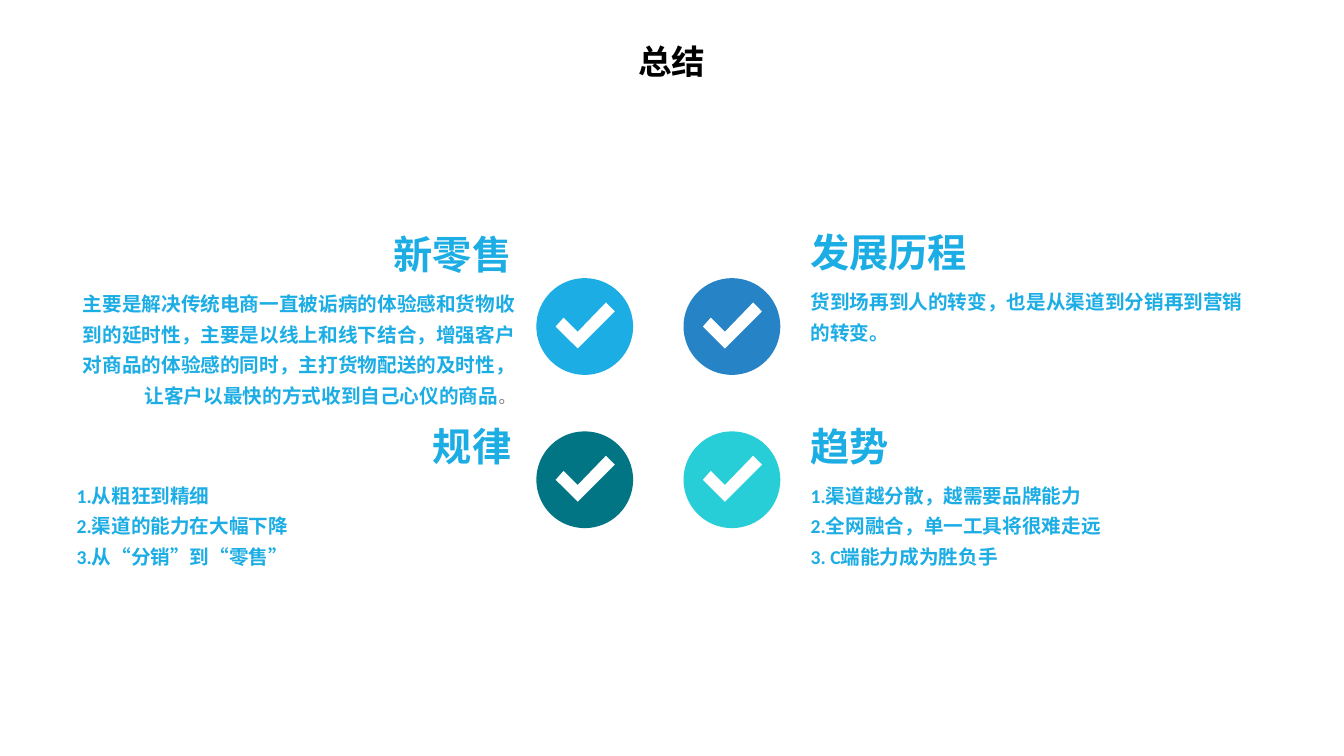
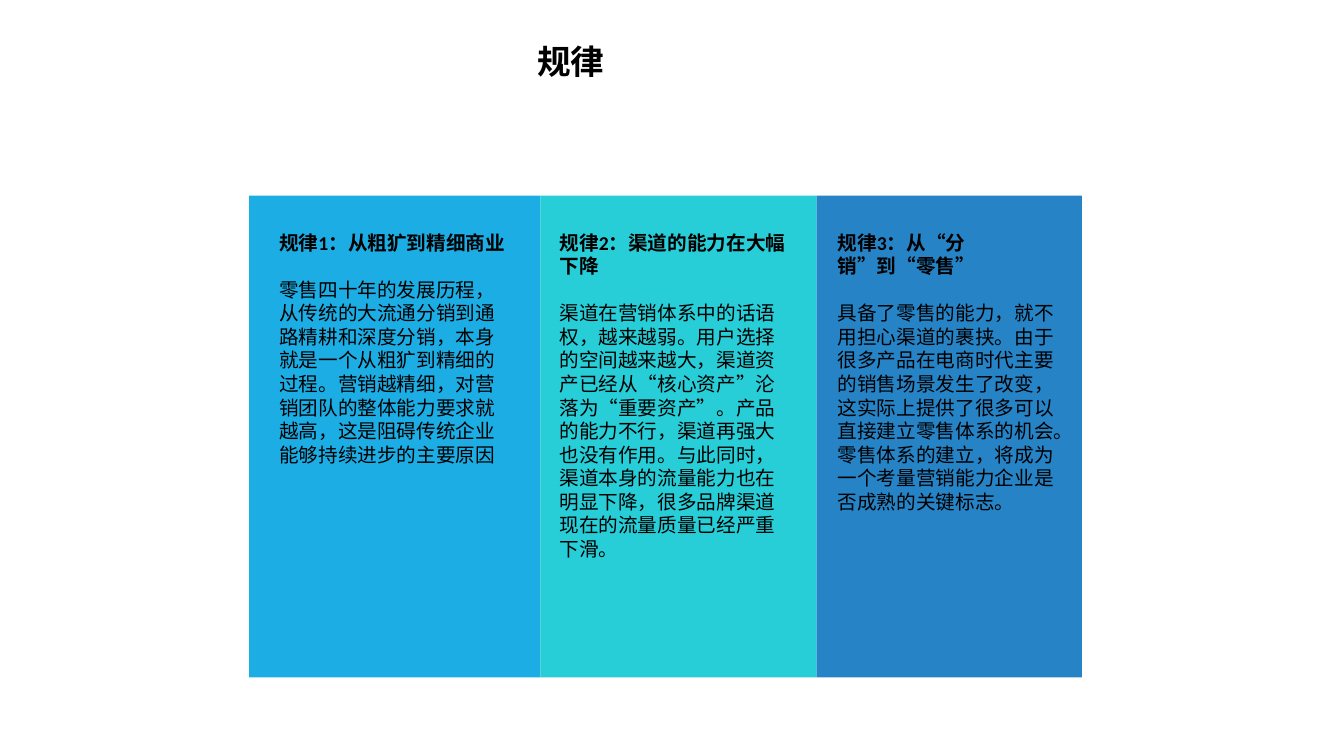
"""Build a two-slide summary of new retail and the rules behind it."""
from dataclasses import dataclass
from math import cos, pi, sin

from lxml import etree
from pptx import Presentation
from pptx.dml.color import RGBColor
from pptx.enum.shapes import MSO_SHAPE
from pptx.enum.text import MSO_ANCHOR, MSO_AUTO_SIZE, PP_ALIGN
from pptx.oxml.ns import qn
from pptx.util import Inches, Pt

LEFT, CENTER, RIGHT = PP_ALIGN.LEFT, PP_ALIGN.CENTER, PP_ALIGN.RIGHT
RECTANGLE = MSO_SHAPE.RECTANGLE
TOP, MIDDLE = MSO_ANCHOR.TOP, MSO_ANCHOR.MIDDLE
NO_AUTOFIT = MSO_AUTO_SIZE.NONE
TWO_CONTENT, TITLE_ONLY = 3, 5


@dataclass(frozen=True)
class Theme:
    """Colours, font and type sizes shared by the slides."""
    font: str = "Calibri"
    sky: str = "1CADE4"
    blue: str = "2683C6"
    aqua: str = "27CED7"
    teal: str = "027584"
    black: str = "000000"
    gray: str = "808080"
    title: float = 24
    heading: float = 28
    body: float = 14
    stop: float = 12
    gap: float = 16.8


THEME = Theme()
TITLE_BOX = (5.23, 0.4, 2.87, 0.46)

SUMMARY_TITLE = "总结"
SUMMARY = [
    {"heading": "新零售", "color": THEME.sky, "top": 2.24, "align": RIGHT, "stop": "。",
     "lines": ["主要是解决传统电商一直被诟病的体验感和货物收到的延时性，主要是以线上和线下结合，"
               "增强客户对商品的体验感的同时，主打货物配送的及时性，让客户以最快的方式收到自己心仪的商品"]},
    {"heading": "发展历程", "color": THEME.blue, "top": 2.22, "align": LEFT,
     "lines": ["货到场再到人的转变，也是从渠道到分销再到营销的转变。"]},
    {"heading": "规律", "color": THEME.teal, "top": 4.14, "align": LEFT,
     "lines": ["1.从粗狂到精细", "2.渠道的能力在大幅下降", "3.从“分销”到“零售”"]},
    {"heading": "趋势", "color": THEME.aqua, "top": 4.14, "align": LEFT,
     "lines": ["1.渠道越分散，越需要品牌能力", "2.全网融合，单一工具将很难走远", "3. C端能力成为胜负手"]},
]
HEADING_LEFT, BODY_LEFT = (1.73, 7.94), (0.66, 7.94)
HEADING_SIZE, BODY_SIZE, BODY_DROP = (3.44, 0.57), (4.55, 1.02), 0.54
BADGE_ORIGIN, BADGE_STEP, BADGE_SIZE = (5.32, 2.76), (1.46, 1.52), 0.96
CHECK = [(0.41, 0.7), (0.19, 0.48), (0.27, 0.39), (0.41, 0.53), (0.69, 0.24), (0.78, 0.33)]

RULES_TITLE = "规律"
RULES = [
    {"heading": "规律1：从粗犷到精细商业", "color": THEME.sky, "width": 2.89, "inset": (0.2, 0.2),
     "text": "零售四十年的发展历程，从传统的大流通分销到通路精耕和深度分销，本身就是一个从粗犷到精细的过程。"
             "营销越精细，对营销团队的整体能力要求就越高，这是阻碍传统企业能够持续进步的主要原因"},
    {"heading": "规律2：渠道的能力在大幅下降", "color": THEME.aqua, "width": 2.74, "inset": (0.09, 0.14),
     "text": "渠道在营销体系中的话语权，越来越弱。用户选择的空间越来越大，渠道资产已经从“核心资产”沦落为“重要资产”。"
             "产品的能力不行，渠道再强大也没有作用。与此同时，渠道本身的流量能力也在明显下降，"
             "很多品牌渠道现在的流量质量已经严重下滑。"},
    {"heading": "规律3：从“分销”到“零售”", "color": THEME.blue, "width": 2.63, "inset": (0.11, 0.08),
     "text": "具备了零售的能力，就不用担心渠道的裹挟。由于很多产品在电商时代主要的销售场景发生了改变，"
             "这实际上提供了很多可以直接建立零售体系的机会。零售体系的建立，将成为一个考量营销能力企业是否成熟的关键标志。"},
]
PANEL_LEFT, PANEL_TOP, PANEL_HEIGHT, RULE_TOP = 2.47, 1.94, 4.78, 2.24


def style(font, size, color, bold):
    """Apply the shared font with a size, colour and weight."""
    font.name, font.size, font.bold = THEME.font, Pt(size), bold
    font.color.rgb = RGBColor.from_string(color)


def paint(shape, color):
    """Give a shape a flat fill."""
    shape.shadow.inherit = False
    shape.fill.solid()
    shape.fill.fore_color.rgb = RGBColor.from_string(color)
    shape.line.fill.background()


def place(shape, box):
    """Move a placeholder to a box given in inches."""
    shape.left, shape.top, shape.width, shape.height = map(Inches, box)


def write(shape, lines, size, color, bold=True, align=LEFT, spacing=1.0, anchor=TOP):
    """Fill a text frame with equally styled lines and return its paragraphs."""
    frame = shape.text_frame
    frame.word_wrap, frame.auto_size, frame.vertical_anchor = True, NO_AUTOFIT, anchor
    frame.text = "\n".join(lines)
    for paragraph in frame.paragraphs:
        if shape.is_placeholder:
            properties = paragraph._p.get_or_add_pPr()
            properties.set("marL", "0")
            properties.set("indent", "0")
            etree.SubElement(properties, qn("a:buNone"))
        paragraph.alignment, paragraph.line_spacing = align, spacing
        paragraph.space_before = Pt(0)
        style(paragraph.font, size, color, bold)
    return frame.paragraphs


def add_titled_slide(deck, layout, title, align):
    """Add a slide with the shared title style."""
    slide = deck.slides.add_slide(deck.slide_layouts[layout])
    place(slide.shapes.title, TITLE_BOX)
    write(slide.shapes.title, [title], THEME.title, THEME.black, align=align, spacing=0.9, anchor=MIDDLE)
    return slide


def add_badge(slide, left, top, color):
    """Draw a disc with a check mark cut out of it."""
    radius = BADGE_SIZE / 2
    angles = [2 * pi * step / 64 for step in range(64)]
    disc = [(radius + radius * cos(angle), radius + radius * sin(angle)) for angle in angles]
    rim, check = ([(Inches(left + x), Inches(top + y)) for x, y in points] for points in (disc, CHECK))
    builder = slide.shapes.build_freeform(*rim[0])
    builder.add_line_segments(rim[1:])
    builder.move_to(*check[0])
    builder.add_line_segments(check[1:])
    paint(builder.convert_to_shape(), color)


def add_textbox(slide, box):
    """Add a text box given in inches."""
    return slide.shapes.add_textbox(*map(Inches, box))


def build_summary(deck):
    """Lay out four topics around a two by two grid of badges."""
    slide = add_titled_slide(deck, TWO_CONTENT, SUMMARY_TITLE, CENTER)
    for index, topic in enumerate(SUMMARY):
        row, column = divmod(index, 2)
        left, top = (start + step * count for start, step, count
                     in zip(BADGE_ORIGIN, BADGE_STEP, (column, row)))
        add_badge(slide, left, top, topic["color"])
        heading = add_textbox(slide, (HEADING_LEFT[column], topic["top"], *HEADING_SIZE))
        write(heading, [topic["heading"]], THEME.heading, THEME.sky, align=(RIGHT, LEFT)[column])
        body_box = (BODY_LEFT[column], topic["top"] + BODY_DROP, *BODY_SIZE)
        if len(topic["lines"]) > 1:
            body = slide.placeholders[column + 1]
            place(body, body_box)
        else:
            body = add_textbox(slide, body_box)
        paragraphs = write(body, topic["lines"], THEME.body, THEME.sky, align=topic["align"], spacing=1.3)
        if "stop" in topic:
            stop = paragraphs[-1].add_run()
            stop.text = topic["stop"]
            style(stop.font, THEME.stop, THEME.gray, False)


def build_rules(deck):
    """Lay out the three rules as adjoining panels."""
    slide = add_titled_slide(deck, TITLE_ONLY, RULES_TITLE, LEFT)
    left = PANEL_LEFT
    for rule in RULES:
        width, (before, after) = rule["width"], rule["inset"]
        panel = slide.shapes.add_shape(RECTANGLE, *map(Inches, (left, PANEL_TOP, width, PANEL_HEIGHT)))
        paint(panel, rule["color"])
        story = add_textbox(slide, (left + before, RULE_TOP, width - before - after, 3.4))
        heading, text = write(story, [rule["heading"], rule["text"]], THEME.body, THEME.black)
        text.space_before, text.font.bold = Pt(THEME.gap), False
        left += width


def main():
    """Build and save the deck."""
    deck = Presentation()
    deck.slide_width, deck.slide_height = Inches(13.33), Inches(7.5)
    build_summary(deck)
    build_rules(deck)
    deck.save("out.pptx")


if __name__ == "__main__":
    main()
